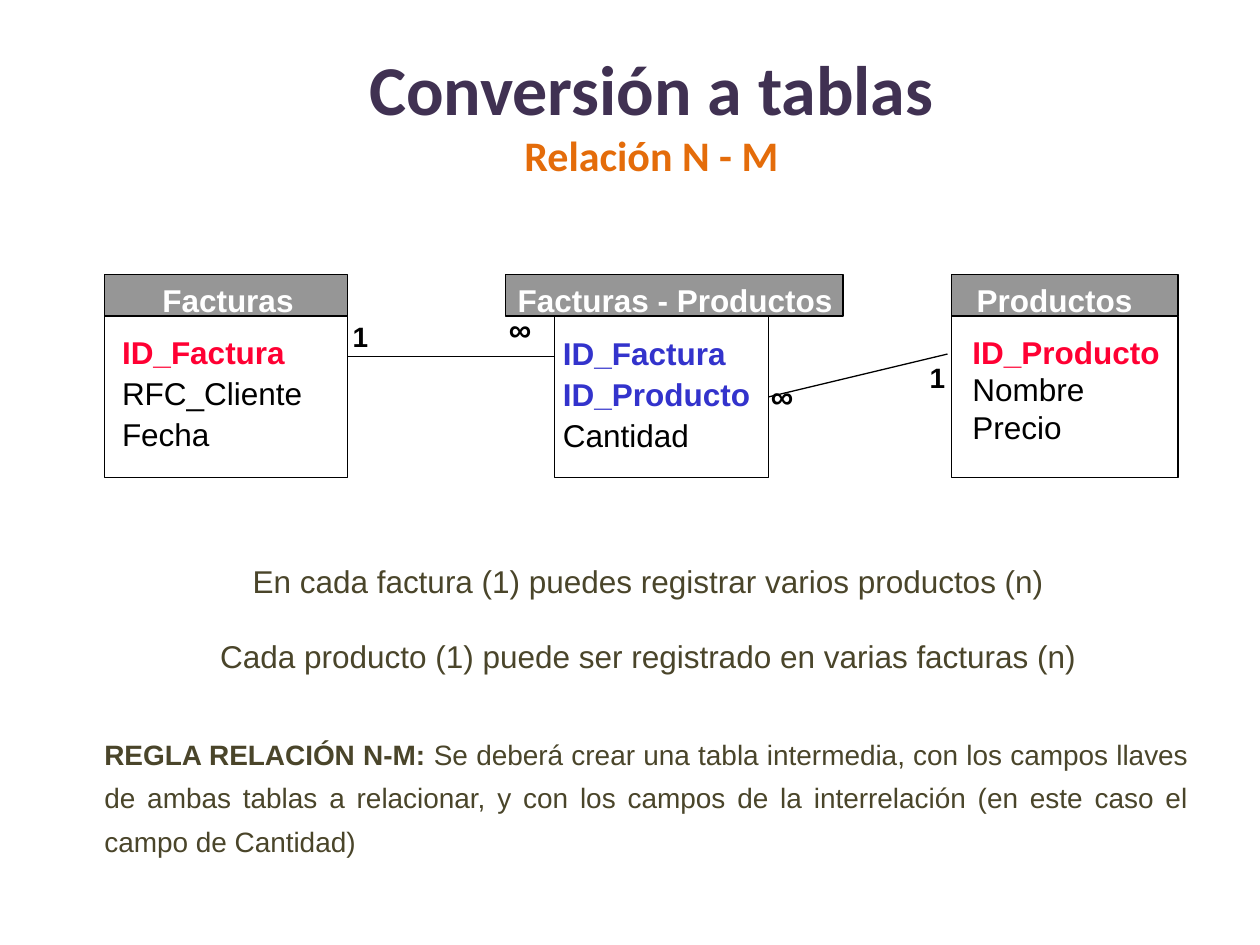
from lxml import etree
from pptx import Presentation
from pptx import util as u
from pptx.dml.color import RGBColor
from pptx.enum import shapes, text
from pptx.oxml.ns import qn

COLORS = {
    "black": "000000", "white": "FFFFFF", "header": "969696",
    "primary": "FF0033", "foreign": "3333CC", "body": "4A452A",
    "title": "403152", "subtitle": "E46C0A",
}
HEADER_TOP, HEADER_HEIGHT = 2.18, 0.33
BODY_TOP, BODY_HEIGHT = 2.51, 1.28
LEFT, CENTER = text.PP_ALIGN.LEFT, text.PP_ALIGN.CENTER

# name, name box (left, width, alignment), header (left, width), body (left, width),
# field box (left, top, width), space between fields, key colour, number of keys, fields
TABLES = [
    ("Facturas", (1.19, 1.25, LEFT), (0.83, 1.93), (0.83, 1.93),
     (0.87, 2.59, 1.89), 2, "primary", 1, ["ID_Factura", "RFC_Cliente", "Fecha"]),
    ("Facturas - Productos", (4.01, 2.99, LEFT), (4.01, 2.68), (4.4, 1.7),
     (4.37, 2.6, 1.73), 2, "foreign", 2, ["ID_Factura", "ID_Producto", "Cantidad"]),
    ("Productos", (7.58, 1.58, CENTER), (7.55, 1.8), (7.55, 1.8),
     (7.62, 2.59, 1.93), 0, "primary", 1, ["ID_Producto", "Nombre", "Precio"]),
]
CARDINALITIES = [
    ("1", 2.7, 2.49, 0.25, 16), ("∞", 3.94, 2.41, 0.58, 18),
    ("∞", 6.02, 2.94, 0.58, 18), ("1", 7.28, 2.81, 0.25, 16),
]


def rgb(name):
    return RGBColor.from_string(COLORS[name])


def add_rectangle(slide, left, top, width, height, fill=None):
    shape = slide.shapes.add_shape(
        shapes.MSO_SHAPE.RECTANGLE, *map(u.Inches, (left, top, width, height)))
    shape.shadow.inherit = False
    if fill:
        shape.fill.solid()
        shape.fill.fore_color.rgb = rgb(fill)
    else:
        shape.fill.background()
    shape.line.color.rgb = rgb("black")
    shape.line.width = u.Pt(0.75)
    return shape


def add_run(paragraph, words, size, color, bold=False, font="Arial"):
    run = paragraph.add_run()
    run.text = words
    values = {"name": font, "size": u.Pt(size), "bold": bold}
    for name, value in values.items():
        setattr(run.font, name, value)
    run.font.color.rgb = rgb(color)


def add_text(slide, left, top, width, height, paragraphs, anchor=text.MSO_ANCHOR.TOP,
             **paragraph_format):
    """Add a text box; each paragraph is a list of add_run arguments, None breaks a line."""
    box = slide.shapes.add_textbox(*map(u.Inches, (left, top, width, height)))
    frame = box.text_frame
    frame.word_wrap = True
    frame.vertical_anchor = anchor
    for index, runs in enumerate(paragraphs):
        paragraph = frame.add_paragraph() if index else frame.paragraphs[0]
        for name, value in paragraph_format.items():
            setattr(paragraph, name, value)
        for run in runs:
            if run is None:
                paragraph.add_line_break()
            else:
                add_run(paragraph, *run)


def add_line(slide, start, end):
    line = slide.shapes.add_connector(
        shapes.MSO_CONNECTOR.STRAIGHT, *map(u.Inches, start + end))
    line.line.color.rgb = rgb("black")
    line.line.width = u.Pt(0.75)
    etree.SubElement(line.element.spPr, qn("a:effectLst"))
    return line


def add_entity(slide, name, name_box, header, body, field_box, space, key_color,
               key_count, fields):
    """Draw one database table and return its body rectangle."""
    body_shape = add_rectangle(slide, body[0], BODY_TOP, body[1], BODY_HEIGHT)
    add_rectangle(slide, header[0], HEADER_TOP, header[1], HEADER_HEIGHT, "header")
    left, width, alignment = name_box
    add_text(slide, left, HEADER_TOP, width, 0.4, [[(name, 18, "white", True)]],
             alignment=alignment)
    rows = [[(field, 18, key_color if index < key_count else "black", index < key_count)]
            for index, field in enumerate(fields)]
    add_text(slide, *field_box, 1.2, rows, space_before=u.Pt(space))
    return body_shape


def main():
    presentation = Presentation()
    presentation.slide_width, presentation.slide_height = u.Inches(10), u.Inches(7.5)
    slide = presentation.slides.add_slide(presentation.slide_layouts[6])

    add_text(slide, 0.92, 0.29, 8.5, 1.21,
             [[("Conversión a tablas", 40, "title", True, "Calibri"), None,
               ("Relación N - M", 24, "subtitle", True, "Calibri")]],
             anchor=text.MSO_ANCHOR.MIDDLE, alignment=CENTER)

    bodies = [add_entity(slide, *table) for table in TABLES]
    add_line(slide, (2.76, 2.83), (4.4, 2.83))
    product_line = add_line(slide, (6.1, 3.15), (7.52, 2.81))
    product_line.begin_connect(bodies[1], 3)
    for symbol, left, top, width, size in CARDINALITIES:
        add_text(slide, left, top, width, 0.4, [[(symbol, size, "black", True)]])

    sentences = ["En cada factura (1) puedes registrar varios productos (n)",
                 "Cada producto (1) puede ser registrado en varias facturas (n)"]
    add_text(slide, 0.43, 4.11, 9.43, 1.22,
             [[(sentence, 18, "body")] for sentence in sentences],
             alignment=CENTER, line_spacing=2.0)
    add_text(slide, 0.73, 5.72, 8.8, 1.12,
             [[("REGLA RELACIÓN N-M: ", 16, "body", True),
               ("Se deberá crear una tabla intermedia, con los campos llaves de ambas "
                "tablas a relacionar, y con los campos de la interrelación (en este caso "
                "el campo de Cantidad)", 16, "body")]],
             alignment=text.PP_ALIGN.JUSTIFY, line_spacing=u.Pt(25))

    presentation.save("out.pptx")


if __name__ == "__main__":
    main()
